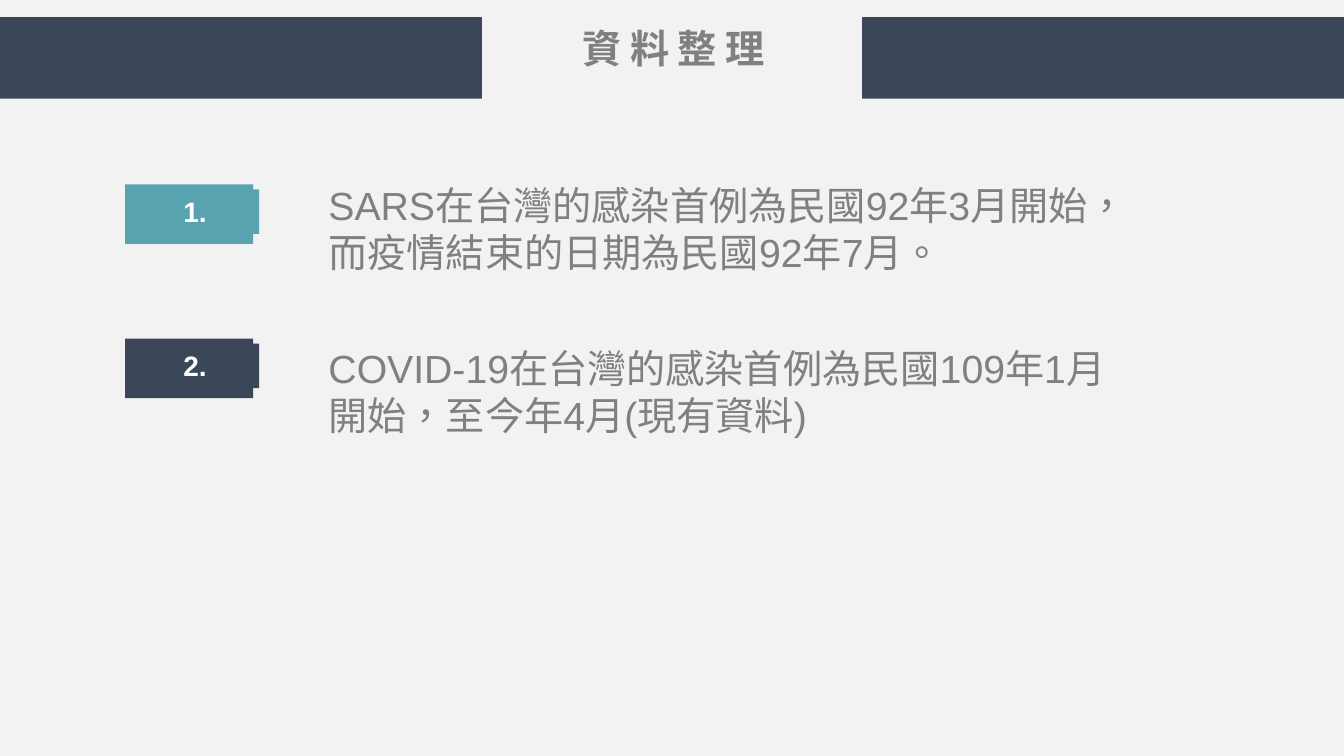
import dataclasses

import pptx
import pptx.dml.color
import pptx.enum.shapes
import pptx.enum.text
import pptx.util

PX = 9144  # EMU per px, 100 px to the inch
ALIGN = pptx.enum.text.PP_ALIGN
TOP = pptx.enum.text.MSO_ANCHOR.TOP


@dataclasses.dataclass(frozen=True)
class Theme:
    background: str = "F2F2F2"
    navy: str = "3B4658"
    teal: str = "59A3B0"
    grey: str = "808080"
    white: str = "FFFFFF"
    font: str = "Arial"
    title_font: str = "Noto Sans CJK SC"
    text_size: int = 28
    number_size: int = 20


THEME = Theme()


def rgb(color):
    return pptx.dml.color.RGBColor.from_string(color)


def px(*lengths):
    return [pptx.util.Emu(n * PX) for n in lengths]


def add_run(p, text, size, color, font=THEME.font, bold=False):
    r = p.add_run()
    r.text = text
    r.font.size = pptx.util.Pt(size)
    r.font.color.rgb = rgb(color)
    r.font.name = font
    r.font.bold = bold
    r.font.language_id = pptx.enum.lang.MSO_LANGUAGE_ID.TRADITIONAL_CHINESE \
        if hasattr(pptx.enum, "lang") else None
    return r


def add_block(slide, color, left, top, width, height):
    sp = slide.shapes.add_shape(
        pptx.enum.shapes.MSO_SHAPE.RECTANGLE, *px(left, top, width, height))
    sp.shadow.inherit = False
    sp.fill.solid()
    sp.fill.fore_color.rgb = rgb(color)
    sp.line.fill.background()
    return sp


def add_title(slide, text):
    sp = slide.shapes.title
    sp.left, sp.top, sp.width, sp.height = px(514, 19, 308, 57)
    tf = sp.text_frame
    tf.vertical_anchor = TOP
    tf.auto_size = pptx.enum.text.MSO_AUTO_SIZE.NONE
    p = tf.paragraphs[0]
    p.alignment = ALIGN.CENTER
    r = add_run(p, text, THEME.text_size, THEME.grey, THEME.title_font, True)
    r.font._element.set("spc", "600")


def add_number(slide, text, color, top):
    """Draw a badge of two offset blocks, the front one holding the number."""
    add_block(slide, color, 124, top, 127, 59)
    tf = add_block(slide, color, 130, top + 5, 127, 44).text_frame
    tf.vertical_anchor = TOP
    p = tf.paragraphs[0]
    p.alignment = ALIGN.CENTER
    add_run(p, text, THEME.number_size, THEME.white, bold=True)


def add_findings(slide, findings):
    tf = slide.shapes.add_textbox(*px(316, 175, 826, 412)).text_frame
    tf.word_wrap = True
    for i, text in enumerate(findings):
        p = tf.add_paragraph() if i else tf.paragraphs[0]
        p.space_after = pptx.util.Pt(49)
        add_run(p, text, THEME.text_size, THEME.grey)


def main():
    prs = pptx.Presentation()
    prs.slide_width, prs.slide_height = px(1333, 750)
    slide = prs.slides.add_slide(prs.slide_layouts[5])
    slide.background.fill.solid()
    slide.background.fill.fore_color.rgb = rgb(THEME.background)

    for left in (0, 855):
        add_block(slide, THEME.navy, left, 17, 478, 81)
    add_title(slide, "資料整理")
    for i, color in enumerate((THEME.teal, THEME.navy)):
        add_number(slide, f"{i + 1}.", color, 183 + 153 * i)
    add_findings(slide, (
        "SARS在台灣的感染首例為民國92年3月開始，而疫情結束的日期為民國92年7月。",
        "COVID-19在台灣的感染首例為民國109年1月開始，至今年4月(現有資料)",
    ))
    prs.save("out.pptx")


if __name__ == "__main__":
    main()
